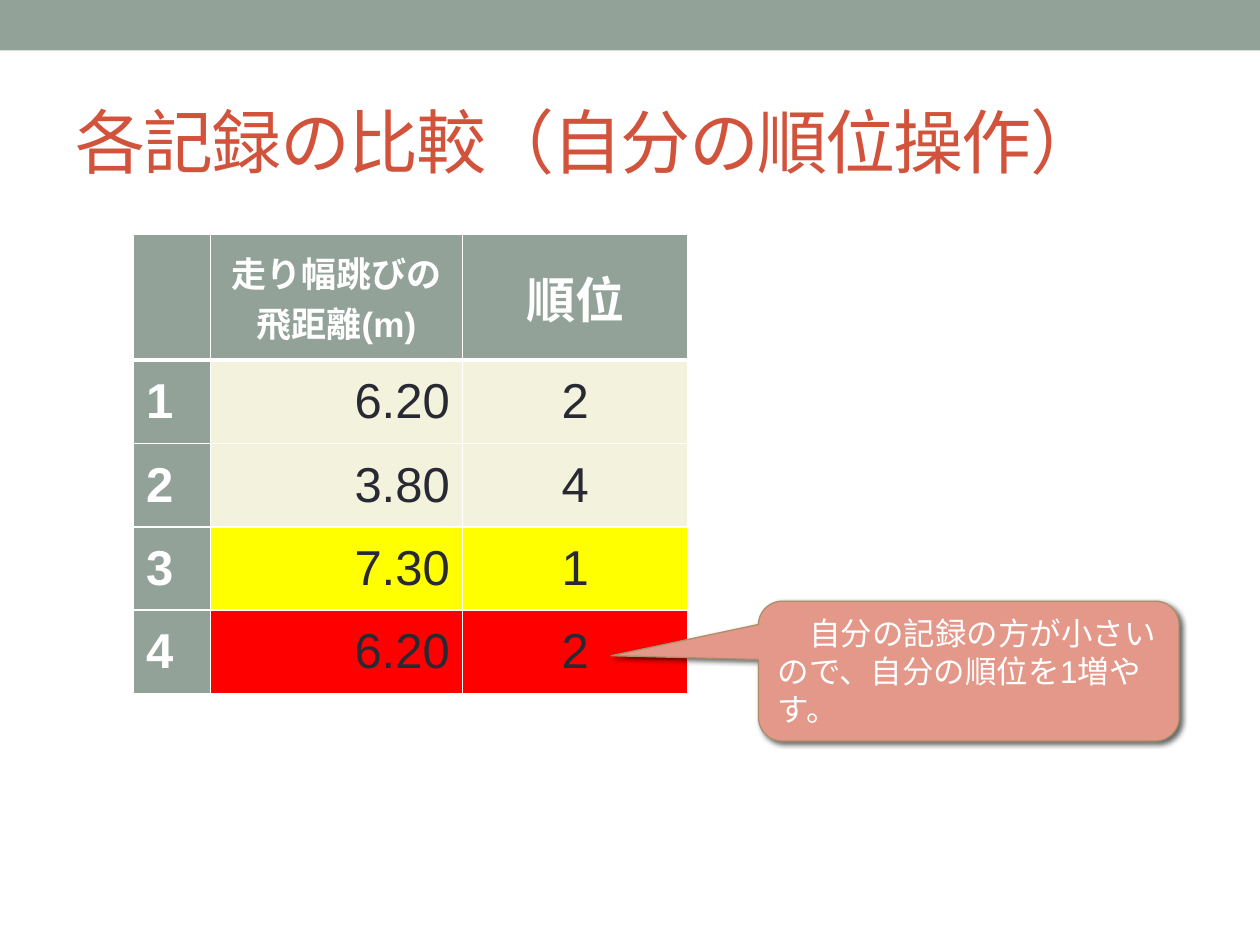
from dataclasses import dataclass

from lxml import etree
from pptx import Presentation
from pptx.dml.color import RGBColor
from pptx.enum.shapes import MSO_SHAPE
from pptx.enum.text import MSO_ANCHOR, PP_ALIGN
from pptx.oxml.ns import qn
from pptx.util import Cm, Pt

LEFT, CENTER, RIGHT = PP_ALIGN.LEFT, PP_ALIGN.CENTER, PP_ALIGN.RIGHT
MIDDLE = MSO_ANCHOR.MIDDLE
RECTANGLE = MSO_SHAPE.RECTANGLE
CALLOUT = MSO_SHAPE.ROUNDED_RECTANGULAR_CALLOUT

FONT = "Arial"
SAGE, CREAM, YELLOW, RED = "93A299", "F3F2DC", "FFFF00", "FF0000"
WHITE, INK, BRICK, SALMON, TAN = "FFFFFF", "292934", "D2533C", "E4988A", "AD8F67"


@dataclass(frozen=True)
class Box:
    left: float
    top: float
    width: float
    height: float

    def lengths(self) -> tuple:
        return Cm(self.left), Cm(self.top), Cm(self.width), Cm(self.height)


@dataclass(frozen=True)
class Jump:
    distance: str
    rank: str
    fill: str = CREAM


JUMPS = [
    Jump("6.20", "2"),
    Jump("3.80", "4"),
    Jump("7.30", "1", YELLOW),
    Jump("6.20", "2", RED),
]
COLUMN_WIDTHS = [1.55, 5.08, 4.55]
HEADER_HEIGHT, JUMP_HEIGHT = 2.54, 1.68


def color(hex_value: str) -> RGBColor:
    return RGBColor.from_string(hex_value)


def write(frame, text: str, *, size: float, ink: str, align=LEFT,
          bold: bool = False, spacing: float = 0) -> None:
    frame.word_wrap = True
    frame.text = text
    for paragraph in frame.paragraphs:
        paragraph.alignment = align
        for run in paragraph.runs:
            run.font.name = FONT
            run.font.size = Pt(size)
            run.font.bold = bold
            run.font.color.rgb = color(ink)
            if spacing:
                run.font._element.set("spc", str(round(spacing * 100)))


def add_block(slide, preset, box: Box, fill: str):
    block = slide.shapes.add_shape(preset, *box.lengths())
    block.shadow.inherit = False
    block.fill.solid()
    block.fill.fore_color.rgb = color(fill)
    block.line.fill.background()
    return block


def add_solid(parent, hex_value: str):
    solid = etree.SubElement(parent, qn("a:solidFill"))
    return etree.SubElement(solid, qn("a:srgbClr"), val=hex_value)


def style_cell(cell, fill: str, bottom: float) -> None:
    properties = cell._tc.get_or_add_tcPr()
    for side, width in (("L", 1), ("R", 1), ("T", 1), ("B", bottom)):
        border = etree.SubElement(properties, qn(f"a:ln{side}"), w=str(Pt(width)))
        add_solid(border, WHITE)
    cell.fill.solid()
    cell.fill.fore_color.rgb = color(fill)
    cell.vertical_anchor = MIDDLE


def add_ranking(slide, box: Box) -> None:
    table = slide.shapes.add_table(
        len(JUMPS) + 1, len(COLUMN_WIDTHS), *box.lengths()).table
    for column, width in zip(table.columns, COLUMN_WIDTHS):
        column.width = Cm(width)
    for row in table.rows:
        row.height = Cm(JUMP_HEIGHT)
    table.rows[0].height = Cm(HEADER_HEIGHT)

    headings = [("", 28), ("走り幅跳びの\n飛距離(m)", 20), ("順位", 28)]
    for index, (heading, size) in enumerate(headings):
        cell = table.cell(0, index)
        style_cell(cell, SAGE, bottom=3)
        write(cell.text_frame, heading, size=size, ink=WHITE, align=CENTER, bold=True)

    for number, jump in enumerate(JUMPS, start=1):
        values = [
            (str(number), SAGE, WHITE, LEFT, True),
            (jump.distance, jump.fill, INK, RIGHT, False),
            (jump.rank, jump.fill, INK, CENTER, False),
        ]
        for index, (value, fill, ink, align, bold) in enumerate(values):
            cell = table.cell(number, index)
            style_cell(cell, fill, bottom=1)
            write(cell.text_frame, value, size=28, ink=ink, align=align, bold=bold)


def add_explanation(slide, box: Box, text: str) -> None:
    callout = add_block(slide, CALLOUT, box, SALMON)
    for index, value in enumerate((-0.855, -0.11, 0.167)):
        callout.adjustments[index] = round(value, 2)
    callout.line.color.rgb = color(TAN)
    callout.line.width = Pt(0.75)
    effects = callout._element.spPr.find(qn("a:effectLst"))
    shadow = etree.SubElement(
        effects, qn("a:outerShdw"), blurRad=str(Pt(3)), dist=str(Pt(2)),
        dir=str(45 * 60000), rotWithShape="0")
    etree.SubElement(add_shadow_color(shadow), qn("a:alpha"), val="60000")
    callout.text_frame.vertical_anchor = MIDDLE
    write(callout.text_frame, text, size=18, ink=WHITE)


def add_shadow_color(shadow):
    return etree.SubElement(shadow, qn("a:srgbClr"), val="000000")


def main() -> None:
    deck = Presentation()
    deck.slide_width, deck.slide_height = Cm(25.4), Cm(19.05)
    slide = deck.slides.add_slide(deck.slide_layouts[5])

    title = slide.shapes.title
    title.left, title.top, title.width, title.height = Box(1.27, 1.47, 22.86, 2.74).lengths()
    title.text_frame.vertical_anchor = MIDDLE
    write(title.text_frame, "各記録の比較（自分の順位操作）", size=40, ink=BRICK, spacing=-1)

    add_block(slide, RECTANGLE, Box(0, 0, 25.4, 1.02), SAGE)
    table_height = HEADER_HEIGHT + JUMP_HEIGHT * len(JUMPS)
    add_ranking(slide, Box(2.69, 4.72, sum(COLUMN_WIDTHS), table_height))
    add_explanation(slide, Box(15.29, 12.12, 8.48, 2.82),
                    "　自分の記録の方が小さいので、自分の順位を1増やす。")
    deck.save("out.pptx")


if __name__ == "__main__":
    main()
